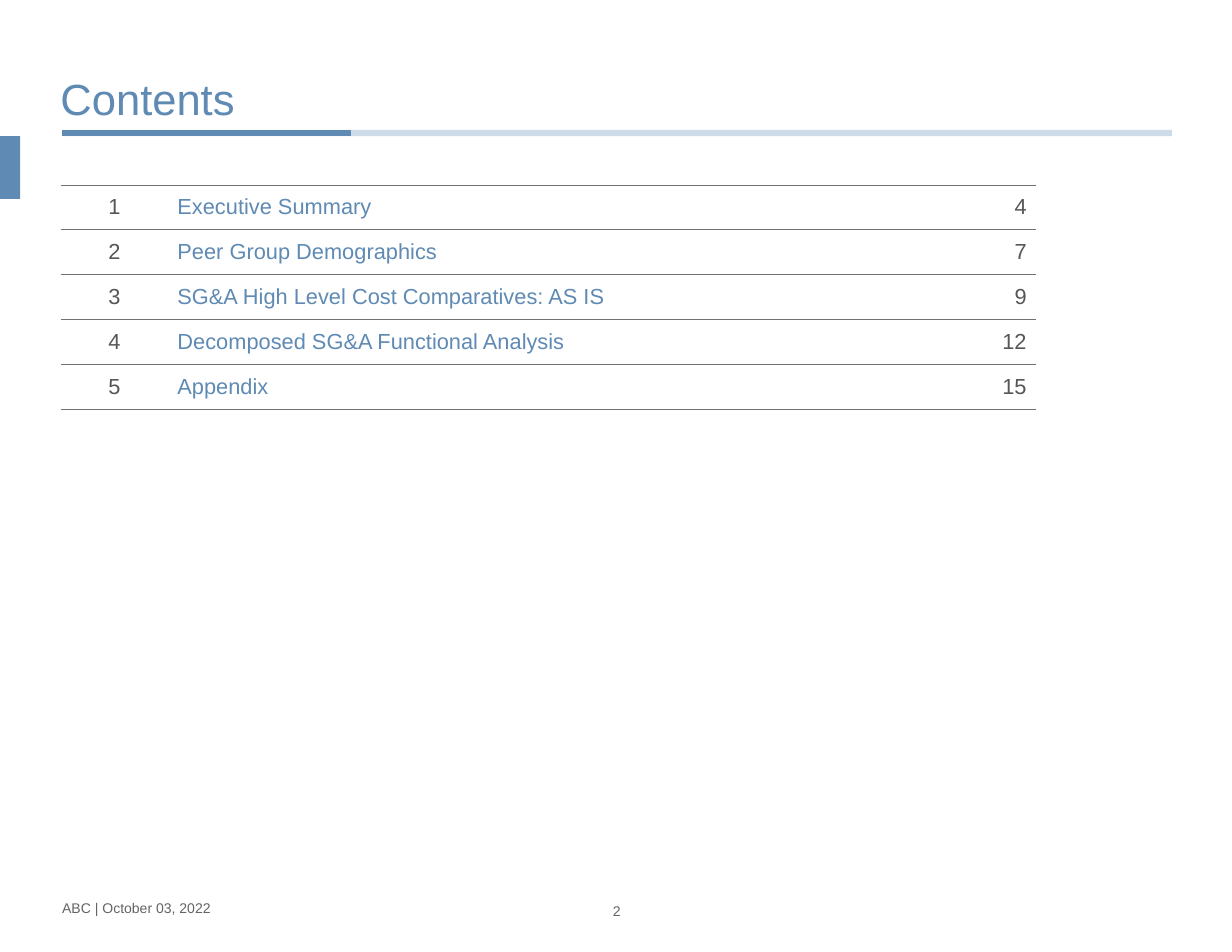
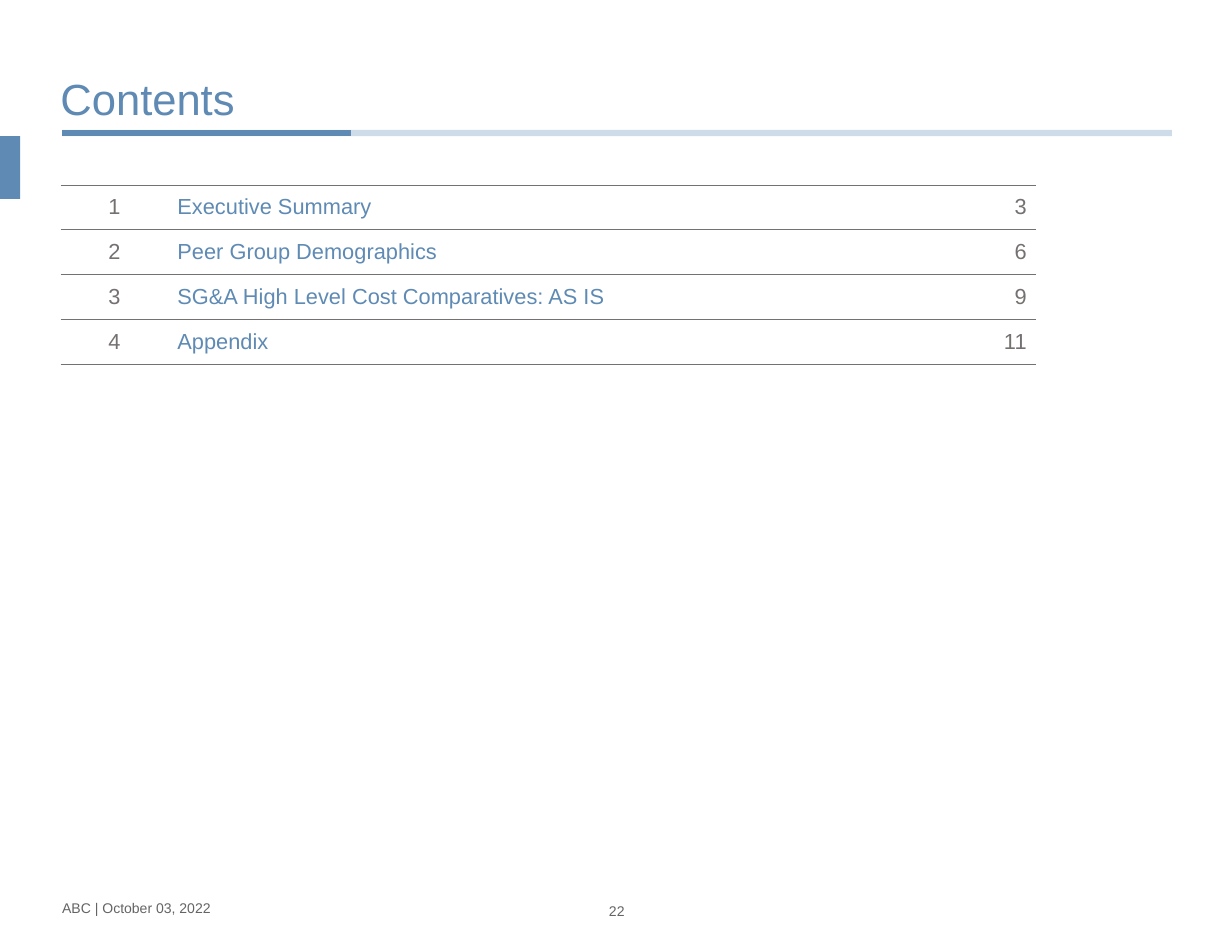
import pptx
import pptx.dml.color
import pptx.enum.shapes
import pptx.enum.text
import pptx.oxml
import pptx.oxml.ns
import pptx.util
from lxml import etree

Pt = pptx.util.Pt
ALIGN = pptx.enum.text.PP_ALIGN
ANCHOR = pptx.enum.text.MSO_ANCHOR
qn = pptx.oxml.ns.qn

# Colours, type sizes and the table grid
THEME = {
    "font": "Arial",
    "blue": "5E8AB4", "foot": "646464", "rule": "767171",
    "dark": "595555", "grey": "767171",
    "title": 28, "body": 14, "small": 9,
    "row": 28.1, "cols": (69.1, 489, 68.9), "pad": 6, "gap": 9,
}

# Page number, colour of the figures, entries with their pages
PAGES = [
    (2, "dark", [
        ("Executive Summary", 4),
        ("Peer Group Demographics", 7),
        ("SG&A High Level Cost Comparatives: AS IS", 9),
        ("Decomposed SG&A Functional Analysis", 12),
        ("Appendix", 15),
    ]),
    (22, "grey", [
        ("Executive Summary", 3),
        ("Peer Group Demographics", 6),
        ("SG&A High Level Cost Comparatives: AS IS", 9),
        ("Appendix", 11),
    ]),
]


def rgb(name):
    return pptx.dml.color.RGBColor.from_string(THEME[name])


def assign(item, values):
    for key, value in values.items():
        setattr(item, key, value)


def write(frame, text, size, color, align=ALIGN.LEFT, gap=0):
    para = frame.paragraphs[0]
    assign(para, {"alignment": align, "space_before": Pt(gap),
                  "space_after": Pt(gap)})
    run = para.add_run()
    run.text = text
    assign(run.font, {"name": THEME["font"], "size": Pt(THEME[size])})
    run.font.color.rgb = rgb(color)


def label(slide, box, text, size, color, align=ALIGN.LEFT, anchor=ANCHOR.TOP):
    frame = slide.shapes.add_textbox(*map(Pt, box)).text_frame
    assign(frame, {"word_wrap": True, "vertical_anchor": anchor,
                   "margin_left": 0, "margin_right": 0,
                   "margin_top": 0, "margin_bottom": 0})
    write(frame, text, size, color, align)


def stripe(slide, end, alpha=None):
    kind = pptx.enum.shapes.MSO_CONNECTOR.STRAIGHT
    line = slide.shapes.add_connector(kind, Pt(40), Pt(85.5), Pt(end), Pt(85.5))
    line.line.width = Pt(4)
    line.line.color.rgb = rgb("blue")
    props = line._element.spPr
    etree.SubElement(props, qn("a:effectLst"))
    if alpha:
        color = props.find(".//" + qn("a:srgbClr"))
        etree.SubElement(color, qn("a:alpha"), val=str(alpha * 1000))


def frame_page(slide, number):
    # Side tab
    kind = pptx.enum.shapes.MSO_SHAPE.RECTANGLE
    tab = slide.shapes.add_shape(kind, 0, Pt(87.6), Pt(13), Pt(40.3))
    tab.shadow.inherit = False
    tab.fill.solid()
    tab.fill.fore_color.rgb = rgb("blue")
    tab.line.fill.background()

    # Title and its two-tone rule
    label(slide, (38.9, 15, 715, 65), "Contents", "title", "blue",
          anchor=ANCHOR.BOTTOM)
    stripe(slide, 753.3, 30)
    stripe(slide, 225.5)

    # Footer
    label(slide, (40, 578.3, 305, 11), "ABC | October 03, 2022", "small", "foot")
    label(slide, (383, 580.3, 27, 11), str(number), "small", "foot",
          ALIGN.CENTER)


def border(cell):
    props = cell._tc.get_or_add_tcPr()
    for place, side in enumerate(("lnL", "lnR", "lnT", "lnB")):
        line = etree.Element(qn("a:" + side))
        if side in ("lnT", "lnB"):
            line.set("w", str(Pt(0.5)))
            fill = etree.SubElement(line, qn("a:solidFill"))
            etree.SubElement(fill, qn("a:srgbClr"), val=THEME["rule"])
        else:
            etree.SubElement(line, qn("a:noFill"))
        props.insert(place, line)


def index(slide, items, color):
    cols, high, pad = THEME["cols"], THEME["row"], Pt(THEME["pad"])
    table = slide.shapes.add_table(
        len(items), len(cols), Pt(39), Pt(118.9),
        Pt(sum(cols)), Pt(high * len(items))).table
    assign(table, {"first_row": False, "horz_banding": False})
    for col, width in zip(table.columns, cols):
        col.width = Pt(width)
    styles = ((color, ALIGN.CENTER), ("blue", ALIGN.LEFT), (color, ALIGN.RIGHT))
    for row, (order, (topic, page)) in zip(table.rows, enumerate(items, 1)):
        row.height = Pt(high)
        texts = (str(order), topic, str(page))
        for cell, text, (tone, align) in zip(row.cells, texts, styles):
            assign(cell, {"vertical_anchor": ANCHOR.MIDDLE,
                          "margin_left": pad, "margin_right": pad,
                          "margin_top": pad, "margin_bottom": pad})
            cell.fill.background()
            border(cell)
            write(cell.text_frame, text, "body", tone, align, THEME["gap"])


def main():
    deck = pptx.Presentation()
    assign(deck, {"slide_width": Pt(792), "slide_height": Pt(612)})
    for number, color, items in PAGES:
        slide = deck.slides.add_slide(deck.slide_layouts[6])
        frame_page(slide, number)
        index(slide, items, color)
    deck.save("out.pptx")


if __name__ == "__main__":
    main()
